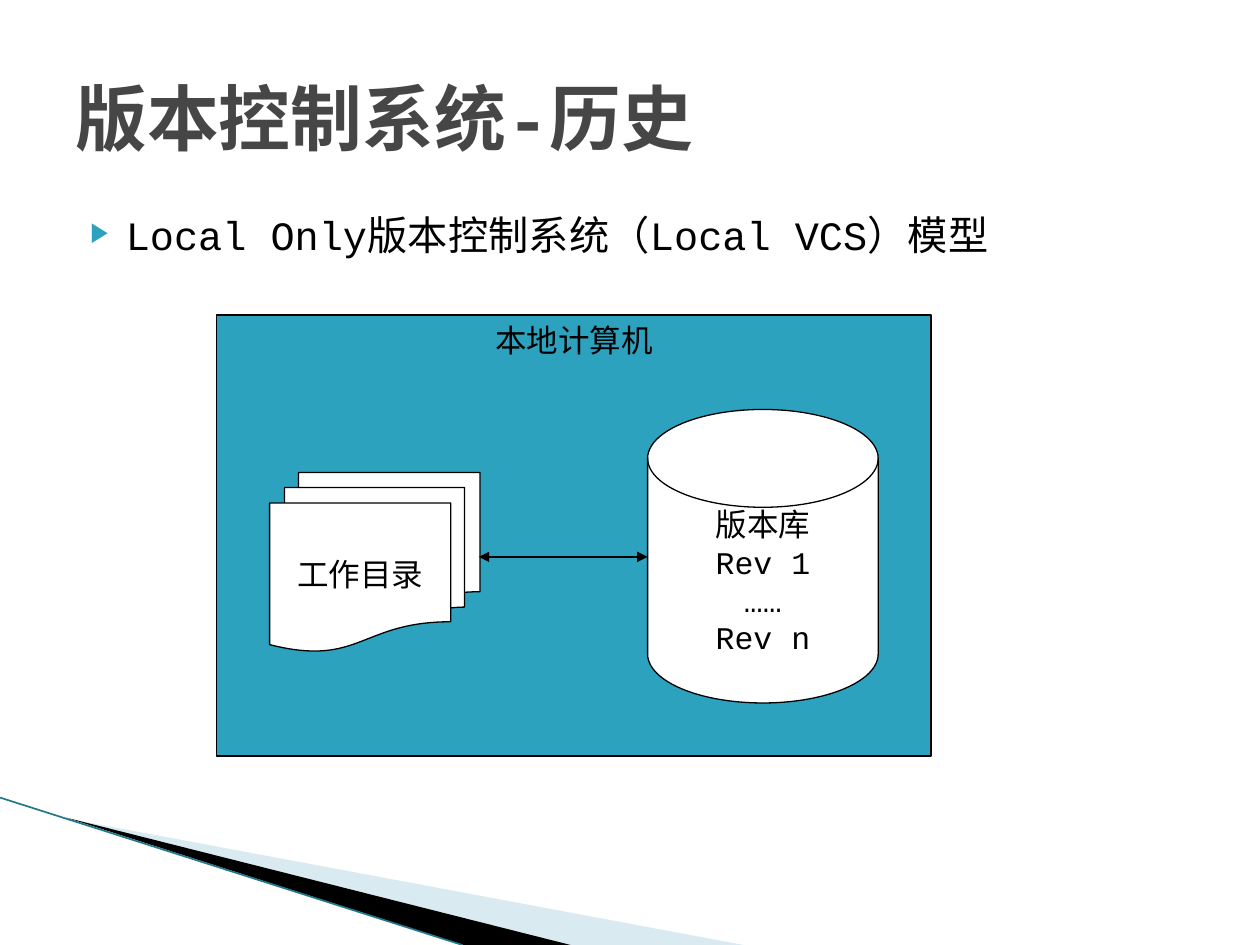
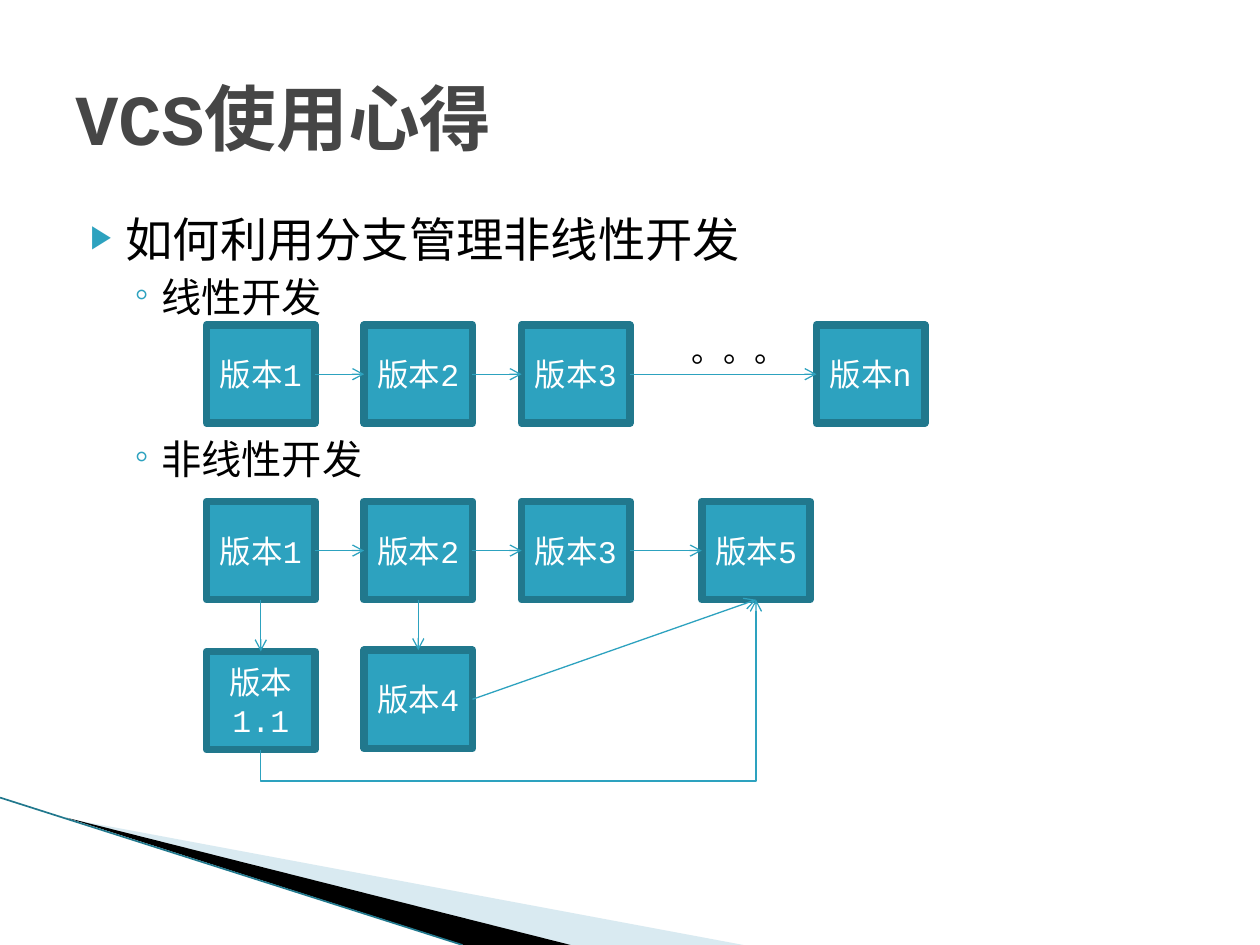
from lxml.etree import SubElement
from pptx import Presentation
from pptx.dml.color import RGBColor
from pptx.enum.shapes import MSO_CONNECTOR, MSO_SHAPE
from pptx.enum.text import MSO_ANCHOR, PP_ALIGN
from pptx.oxml.ns import qn
from pptx.util import Inches, Pt

FONT = "Courier New"
BLACK = RGBColor(0x00, 0x00, 0x00)
WHITE = RGBColor(0xFF, 0xFF, 0xFF)
GREY = RGBColor(0x46, 0x46, 0x46)
TEAL = RGBColor(0x2D, 0xA2, 0xBF)
DARK_TEAL = RGBColor(0x21, 0x78, 0x8D)
PALE_BLUE = RGBColor(0xA0, 0xCB, 0xDC)

TOP, LEFT, BOTTOM, RIGHT = range(4)
BOX_WIDTH, BOX_HEIGHT = 0.86, 0.78
COLUMN_STEP = 1.25


def add_run(paragraph, text, size, color, bold=False):
    run = paragraph.add_run()
    run.text = text
    run.font.name = FONT
    run.font.size = Pt(size)
    run.font.bold = bold
    run.font.color.rgb = color


def add_text_box(slide, left, top, width, height, wrap=True):
    box = slide.shapes.add_textbox(Inches(left), Inches(top), Inches(width), Inches(height))
    box.text_frame.word_wrap = wrap
    return box.text_frame


def add_node(slide, kind, box, lines, fill, line, weight, color, wrap=False, anchor=MSO_ANCHOR.MIDDLE):
    """Preset shape with centred text, one paragraph per line."""
    shape = slide.shapes.add_shape(kind, *(Inches(value) for value in box))
    shape.shadow.inherit = False
    shape.fill.solid()
    shape.fill.fore_color.rgb = fill
    shape.line.color.rgb = line
    shape.line.width = Pt(weight)
    frame = shape.text_frame
    frame.word_wrap = wrap
    frame.vertical_anchor = anchor
    for index, text in enumerate(lines):
        paragraph = frame.add_paragraph() if index else frame.paragraphs[0]
        paragraph.alignment = PP_ALIGN.CENTER
        add_run(paragraph, text, 18, color)
    return shape


def add_line(slide, start, end, color, weight=0.75, head=None, tail=None, kind=MSO_CONNECTOR.STRAIGHT):
    connector = slide.shapes.add_connector(kind, *(Inches(value) for value in (*start, *end)))
    connector.line.color.rgb = color
    connector.line.width = Pt(weight)
    properties = connector.element.spPr
    outline = properties.find(qn("a:ln"))
    for tag, arrow in (("a:headEnd", head), ("a:tailEnd", tail)):
        if arrow:
            SubElement(outline, qn(tag), type=arrow)
    SubElement(properties, qn("a:effectLst"))
    return connector


def join(slide, source, source_side, target, target_side):
    connector = add_line(slide, (0, 0), (1, 1), TEAL, tail="arrow")
    connector.begin_connect(source, source_side)
    connector.end_connect(target, target_side)


# Shared parts of every slide
def add_wedge(slide, points, color, opacity=None):
    corners = [(Inches(x), Inches(y)) for x, y in points]
    builder = slide.shapes.build_freeform(*corners[0])
    builder.add_line_segments(corners[1:], close=True)
    wedge = builder.convert_to_shape()
    wedge.shadow.inherit = False
    wedge.fill.solid()
    wedge.fill.fore_color.rgb = color
    wedge.line.fill.background()
    if opacity:
        tint = wedge.element.spPr.find(qn("a:solidFill"))[0]
        SubElement(tint, qn("a:alpha"), val=str(opacity * 1000))


def add_corner_band(slide):
    add_wedge(slide, [(0.55, 6.5), (5.9, 7.5), (4.52, 7.5)], PALE_BLUE, opacity=40)
    add_wedge(slide, [(0.53, 6.49), (4.53, 7.5), (3.68, 7.5)], BLACK)
    add_line(slide, (0, 6.33), (3.67, 7.5), DARK_TEAL, weight=0.95)


def add_title(slide, text):
    frame = add_text_box(slide, 0.5, 0.3, 9, 1.25)
    frame.vertical_anchor = MSO_ANCHOR.MIDDLE
    add_run(frame.paragraphs[0], text, 41, GREY, bold=True)


def add_bullets(slide, items):
    """Each item: text, size, level (0 or 1), space before."""
    frame = add_text_box(slide, 0.5, 1.62, 9, 4.95)
    styles = [("▶", 0.4, -0.28, 68), ("◦", 0.68, -0.25, 100)]
    for index, (text, size, level, space) in enumerate(items):
        paragraph = frame.add_paragraph() if index else frame.paragraphs[0]
        mark, margin, indent, percent = styles[level]
        properties = paragraph._p.get_or_add_pPr()
        properties.set("marL", str(Inches(margin)))
        properties.set("indent", str(Inches(indent)))
        bullet_color = SubElement(properties, qn("a:buClr"))
        SubElement(bullet_color, qn("a:srgbClr"), val=str(TEAL))
        SubElement(properties, qn("a:buSzPct"), val=str(percent * 1000))
        SubElement(properties, qn("a:buFont"), typeface=FONT)
        SubElement(properties, qn("a:buChar"), char=mark)
        paragraph.space_before = Pt(space)
        add_run(paragraph, text, size, BLACK)


def add_base_slide(presentation, title, bullets):
    slide = presentation.slides.add_slide(presentation.slide_layouts[6])
    add_corner_band(slide)
    add_bullets(slide, bullets)
    add_title(slide, title)
    return slide


# Local version control model
def add_local_computer(slide, left, top):
    outlined = (BLACK, 0.75, BLACK)
    add_node(slide, MSO_SHAPE.RECTANGLE, (left, top, 5.67, 3.5), ["本地计算机"],
             TEAL, *outlined, anchor=MSO_ANCHOR.TOP)
    add_node(slide, MSO_SHAPE.FLOWCHART_MULTIDOCUMENT, (left + 0.42, top + 1.25, 1.67, 1.42),
             ["工作目录"], WHITE, *outlined)
    add_node(slide, MSO_SHAPE.FLOWCHART_MAGNETIC_DISK, (left + 3.42, top + 0.75, 1.83, 2.33),
             ["版本库", "Rev 1", "……", "Rev n"], WHITE, *outlined)
    add_line(slide, (left + 2.08, top + 1.92), (left + 3.42, top + 1.92), BLACK,
             head="triangle", tail="triangle")


# Version histories
def add_version(slide, left, top, name):
    return add_node(slide, MSO_SHAPE.RECTANGLE, (left, top, BOX_WIDTH, BOX_HEIGHT),
                    ["版本" + name], TEAL, DARK_TEAL, 4.33, WHITE, wrap=True)


def add_version_row(slide, left, top, last_name, last_offset):
    """Three evenly spaced versions and a last one, chained by arrows."""
    versions = [add_version(slide, left + column * COLUMN_STEP, top, str(column + 1))
                for column in range(3)]
    versions.append(add_version(slide, left + last_offset, top, last_name))
    for source, target in zip(versions, versions[1:]):
        join(slide, source, RIGHT, target, LEFT)
    return versions


def add_linear_history(slide, left, top):
    add_version_row(slide, left, top, "n", 4.84)
    dots = add_text_box(slide, left + 3.75, top, 0.96, 0.4, wrap=False)
    add_run(dots.paragraphs[0], "。。。", 18, BLACK)


def add_merge_elbow(slide, start, end, drop):
    """Elbow that leaves downwards by drop, runs across and rises to its end."""
    across, rise = end[0] - start[0], start[1] - end[1]
    middle_x, middle_y = (start[0] + end[0]) / 2, (start[1] + end[1]) / 2
    # The elbow is laid out sideways, then turned by a quarter
    elbow = add_line(slide, (middle_x + rise / 2, middle_y + across / 2),
                     (middle_x - rise / 2, middle_y - across / 2),
                     TEAL, tail="arrow", kind=MSO_CONNECTOR.ELBOW)
    properties = elbow.element.spPr
    properties.find(qn("a:xfrm")).set("rot", str(90 * 60000))
    guides = properties.find(qn("a:prstGeom")).find(qn("a:avLst"))
    SubElement(guides, qn("a:gd"), name="adj1", fmla=f"val {round(-drop / rise * 100000)}")


def add_branched_history(slide, left, top):
    first, second, _, merged = add_version_row(slide, left, top, "5", 3.93)
    patch = add_version(slide, left, top + 1.19, "1.1")
    branch = add_version(slide, left + COLUMN_STEP, top + 1.18, "4")
    join(slide, first, BOTTOM, patch, TOP)
    join(slide, second, BOTTOM, branch, TOP)
    join(slide, branch, RIGHT, merged, BOTTOM)
    center = left + BOX_WIDTH / 2
    add_merge_elbow(slide, (center, top + 1.19 + BOX_HEIGHT),
                    (center + 3.93, top + BOX_HEIGHT), 0.25)


def main():
    presentation = Presentation()
    presentation.slide_width, presentation.slide_height = Inches(10), Inches(7.5)

    slide = add_base_slide(presentation, "版本控制系统-历史",
                           [("Local Only版本控制系统（Local VCS）模型", 23, 0, 4)])
    add_local_computer(slide, 1.72, 2.5)

    slide = add_base_slide(presentation, "VCS使用心得", [
        ("如何利用分支管理非线性开发", 27, 0, 4),
        ("线性开发", 23, 1, 3.2),
        ("非线性开发", 23, 1, 65),
    ])
    add_linear_history(slide, 1.64, 2.58)
    add_branched_history(slide, 1.64, 3.98)

    presentation.save("out.pptx")


if __name__ == "__main__":
    main()
